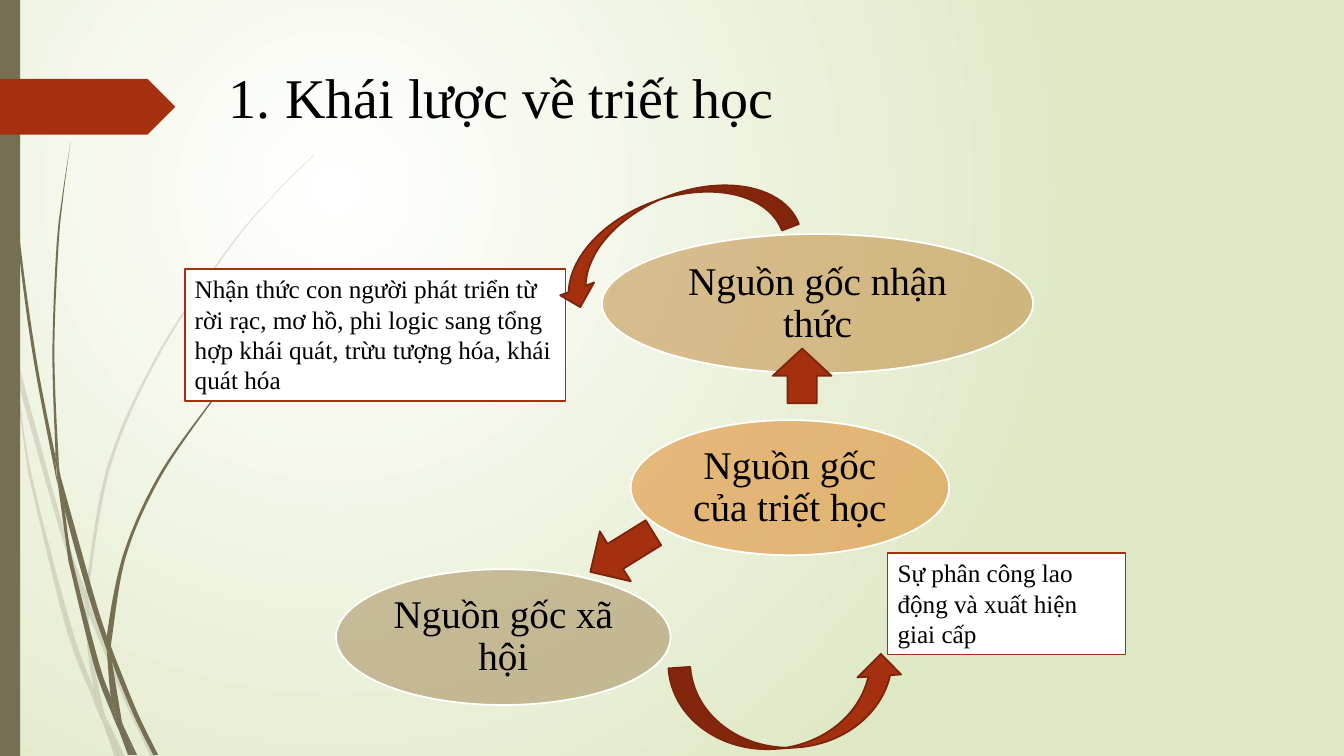
from lxml.etree import SubElement
from pptx import Presentation
from pptx.dml.color import RGBColor
from pptx.enum.shapes import MSO_SHAPE
from pptx.enum.text import MSO_ANCHOR, PP_ALIGN
from pptx.oxml.ns import qn
from pptx.util import Pt

FONT = "Times New Roman"
BLACK = RGBColor(0, 0, 0)
WHITE = RGBColor(255, 255, 255)
PALE = RGBColor(0xDF, 0xE8, 0xC4)
OLIVE = RGBColor(0x76, 0x6F, 0x54)
RED = RGBColor(0xA5, 0x30, 0x10)
DARK = RGBColor(0x7A, 0x24, 0x0C)
ORANGE = RGBColor(0xDE, 0x7E, 0x18)
BRONZE = RGBColor(0xBE, 0x84, 0x35)
SAND = RGBColor(0x9F, 0x83, 0x51)

GRID = Pt(0.72)
FINE = 10
FAINT = [
    ([(11, 350), (9, 322), (0, 282)], [(0, 299), (10, 344)]),
    ([(17, 376), (58, 522), (84, 599)], [(85, 586), (62, 520), (14, 345)]),
    ([(88, 610), (123, 694), (150, 751)], [(155, 751), (127, 692), (92, 607), (88, 596)]),
    ([(119, 751), (124, 751)], [(105, 711)]),
    ([(93, 683), (70, 619), (31, 469), (17, 376), (11, 350)],
     [(28, 470), (65, 621), (92, 693), (101, 714), (99, 707)]),
    ([(84, 599), (87, 646), (93, 683), (96, 692), (105, 711)],
     [(103, 706), (91, 646), (88, 608)]),
    ([(88, 584), (110, 462), (160, 349), (229, 245), (268, 198), (290, 175), (312, 154)],
     [(312, 153), (289, 175), (268, 197), (228, 244), (158, 348), (107, 461), (85, 584),
      (85, 586), (88, 596)]),
    ([(101, 714), (114, 751)], [(119, 751)]),
    ([(88, 608), (88, 596)], [(85, 586), (84, 599)]),
    ([(93, 683), (99, 707), (101, 714), (119, 751)], [(105, 711), (96, 692)]),
]
SOLID = [
    ([(3, 0), (4, 48), (7, 110), (17, 233), (33, 355), (57, 481)],
     [(55, 457), (55, 453), (36, 355), (19, 232), (8, 109), (5, 48), (4, 0)]),
    ([(60, 472), (64, 505), (88, 592), (106, 645)], [(106, 631), (93, 590), (60, 472)]),
    ([(110, 641), (111, 656), (132, 708), (152, 749)], [(157, 749), (136, 706), (113, 649)]),
    ([(110, 691), (98, 657), (72, 556), (64, 505), (57, 477)],
     [(68, 557), (93, 659), (111, 708), (117, 722), (116, 717)]),
    ([(60, 472), (58, 453), (54, 349), (58, 245), (63, 193), (70, 141)],
     [(70, 141), (62, 193), (56, 245), (52, 349), (55, 449)]),
    ([(133, 749), (136, 749)], [(122, 719)]),
    ([(57, 477), (64, 505)], [(60, 472), (55, 449), (55, 453)]),
    ([(111, 633), (125, 552), (158, 476), (205, 406), (231, 374), (245, 359), (261, 344)],
     [(260, 344), (245, 358), (231, 373), (204, 405), (156, 474), (122, 551), (106, 631),
      (110, 641)]),
    ([(117, 722), (127, 749)], [(131, 749)]),
    ([(106, 645), (110, 691), (116, 706), (122, 719)], [(121, 716), (111, 656), (109, 651)]),
    ([(106, 645), (109, 651), (111, 656)], [(110, 641), (106, 631)]),
    ([(110, 691), (116, 717), (117, 722), (130, 749)], [(133, 749), (122, 719), (116, 706)]),
]


def backdrop(slide):
    """Fill the slide with a round gradient."""
    fill = slide.background.fill
    fill.gradient()
    for stop, color in zip(fill.gradient_stops, (WHITE, PALE)):
        stop.color.rgb = color
    grad = next(slide.element.iter(qn("a:gradFill")))
    grad.remove(grad.find(qn("a:lin")))
    path = SubElement(grad, qn("a:path"), path="circle")
    SubElement(path, qn("a:fillToRect"), l="50000", t="50000", r="100000", b="100000")


def paint(shape, color, line=None, alpha=100):
    """Set fill, opacity and outline."""
    shape.shadow.inherit = False
    shape.fill.solid()
    shape.fill.fore_color.rgb = color
    if alpha < 100:
        tint = next(shape.element.spPr.iter(qn("a:srgbClr")))
        SubElement(tint, qn("a:alpha"), val=str(alpha * 1000))
    if line is None:
        shape.line.fill.background()
    else:
        shape.line.color.rgb = line
        shape.line.width = Pt(1.25)


def soften(shape, turn):
    """Bend the edges of both sides, with a corner at the turn."""
    dots = [(int(p.get("x")), int(p.get("y"))) for p in shape.element.iter(qn("a:pt"))]
    edges = list(shape.element.iter(qn("a:lnTo")))
    for i, edge in enumerate(edges[:len(dots) - 1], 1):
        if i == turn:
            continue
        low, high = (0, turn - 1) if i < turn else (turn, len(dots) - 1)
        before, start = dots[max(i - 2, low)], dots[i - 1]
        end, after = dots[i], dots[min(i + 1, high)]
        lead = [q + (r - p) / 6 for p, q, r in zip(before, start, end)]
        trail = [r - (s - q) / 6 for q, r, s in zip(start, end, after)]
        bend = edge.makeelement(qn("a:cubicBezTo"))
        for x, y in (lead, trail, end):
            SubElement(bend, qn("a:pt"), x=str(round(x)), y=str(round(y)))
        edge.getparent().replace(edge, bend)


def blade(slide, out, back, alpha):
    """Draw a piece of grass from its two sides."""
    first, *rest = [(x * FINE, y * FINE) for x, y in out + back]
    pen = slide.shapes.build_freeform(*first, scale=GRID / FINE)
    pen.add_line_segments(rest)
    shape = pen.convert_to_shape()
    paint(shape, OLIVE, alpha=alpha)
    soften(shape, len(out))


def block(slide, kind, place, color, line=None, alpha=100, turn=0):
    """Add a painted preset shape."""
    shape = slide.shapes.add_shape(kind, *map(Pt, place))
    shape.rotation = turn
    paint(shape, color, line, alpha)
    return shape


def write(shape, text, size, align, anchor):
    """Put one paragraph in a shape."""
    frame = shape.text_frame
    frame.word_wrap = True
    frame.vertical_anchor = anchor
    para = frame.paragraphs[0]
    para.text = text
    para.alignment = align
    para.font.name = FONT
    para.font.size = Pt(size)
    para.font.color.rgb = BLACK
    return para


def title(slide, text):
    """Add the numbered heading."""
    box = slide.shapes.add_textbox(Pt(156.4), Pt(41), Pt(426), Pt(104.4))
    props = box.text_frame.paragraphs[0]._p.get_or_add_pPr()
    props.set("marL", str(Pt(40.5)))
    props.set("indent", str(Pt(-40.5)))
    SubElement(props, qn("a:buFont"), typeface="+mj-lt")
    SubElement(props, qn("a:buAutoNum"), type="arabicPeriod")
    write(box, text, 40, PP_ALIGN.LEFT, MSO_ANCHOR.TOP)


def oval(slide, text, place, color):
    """Add a translucent ellipse with its label."""
    shape = block(slide, MSO_SHAPE.OVAL, place, color, WHITE, 50)
    frame = shape.text_frame
    frame.margin_left = frame.margin_right = Pt(2.8)
    frame.margin_top = frame.margin_bottom = Pt(2.8)
    write(shape, text, 28, PP_ALIGN.CENTER, MSO_ANCHOR.MIDDLE).line_spacing = 0.9


def note(slide, text, place):
    """Add a framed note."""
    shape = block(slide, MSO_SHAPE.RECTANGLE, place, WHITE, RED)
    write(shape, text, 18, PP_ALIGN.LEFT, MSO_ANCHOR.TOP)


def main():
    """Build the slide and save it."""
    deck = Presentation()
    deck.slide_width, deck.slide_height = Pt(960), Pt(540)
    slide = deck.slides.add_slide(deck.slide_layouts[6])
    backdrop(slide)
    for group, alpha in ((FAINT, 20), (SOLID, 100)):
        for out, back in group:
            blade(slide, out, back, alpha)
    block(slide, MSO_SHAPE.RECTANGLE, (0, 0, 14.4, 540), OLIVE)
    block(slide, MSO_SHAPE.PENTAGON, (0, 56.4, 125.3, 39.8), RED)
    title(slide, "Khái lược về triết học")
    oval(slide, "Nguồn gốc của triết học", (450.5, 300.1, 227.5, 96.5), ORANGE)
    oval(slide, "Nguồn gốc nhận thức", (430, 167.2, 308, 99.5), BRONZE)
    oval(slide, "Nguồn gốc xã hội", (240, 406.6, 239, 97), SAND)
    block(slide, MSO_SHAPE.UP_ARROW, (552, 249, 42, 39), RED, DARK)
    block(slide, MSO_SHAPE.DOWN_ARROW, (423.2, 368, 42, 53), RED, DARK, turn=58.2)
    note(slide, "Nhận thức con người phát triển từ rời rạc, mơ hồ, phi logic sang "
         "tổng hợp khái quát, trừu tượng hóa, khái quát hóa", (132, 192, 272, 94.5))
    note(slide, "Sự phân công lao động và xuất hiện giai cấp", (634, 394.8, 170, 72.7))
    bend = MSO_SHAPE.CURVED_RIGHT_ARROW
    block(slide, bend, (532, 419, 62.6, 167.8), RED, DARK, turn=266.1)
    block(slide, bend, (451.4, 77.8, 51.8, 180), RED, DARK, turn=69.2)
    deck.save("out.pptx")


if __name__ == "__main__":
    main()
